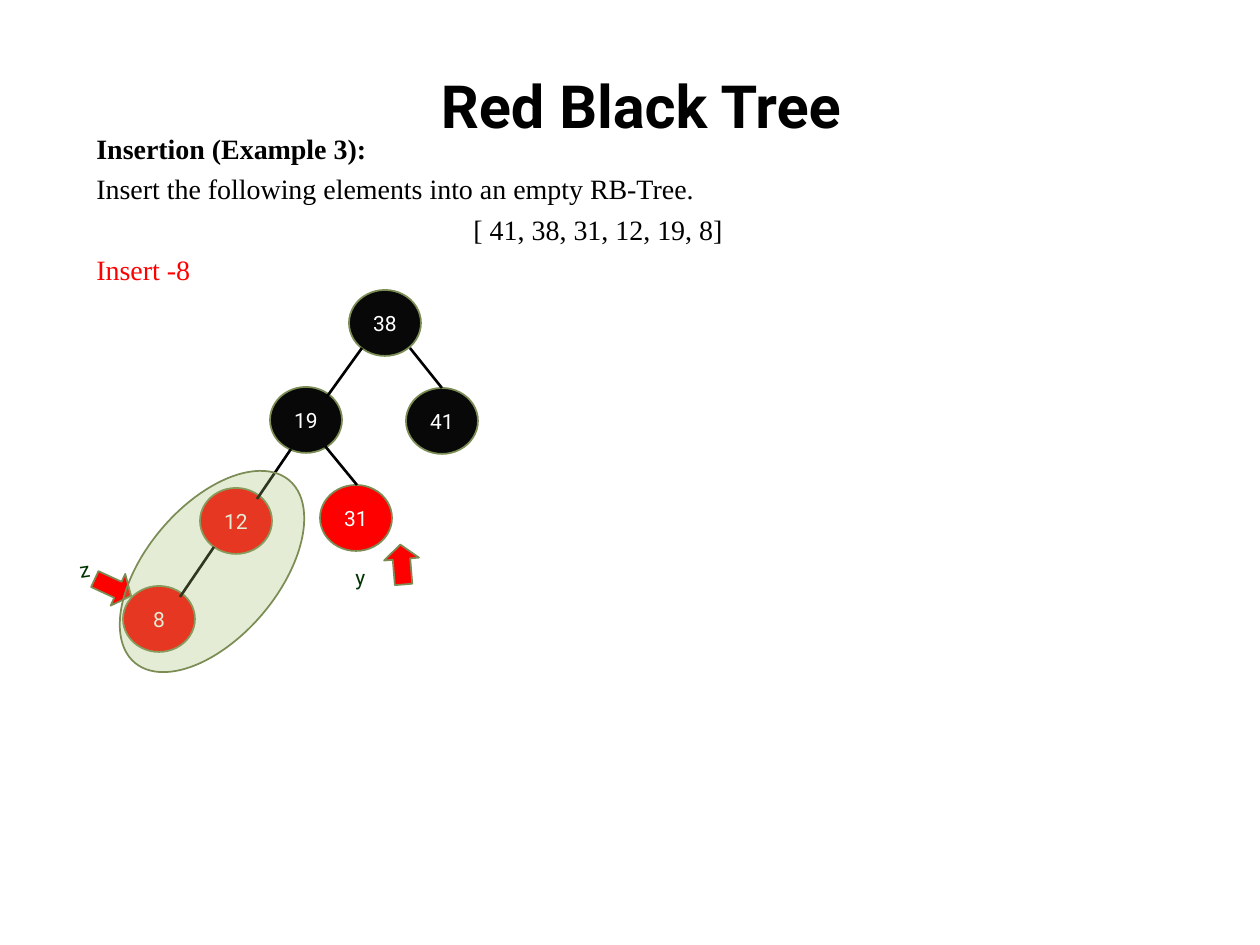
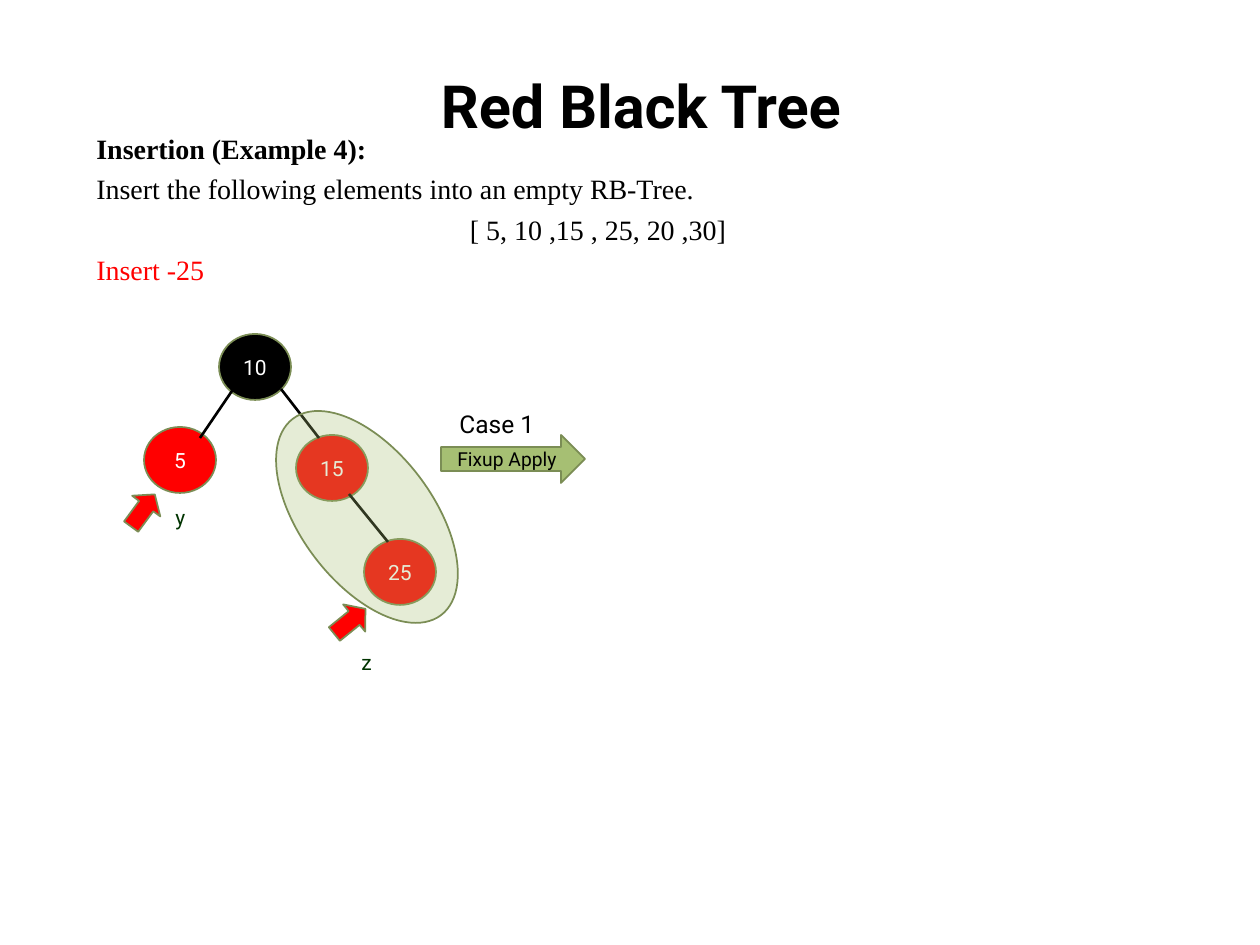
from lxml.etree import SubElement
from pptx import Presentation
from pptx.dml.color import RGBColor
from pptx.enum.shapes import MSO_CONNECTOR, MSO_SHAPE
from pptx.enum.text import MSO_ANCHOR as ANCHOR, PP_ALIGN as ALIGN
from pptx.oxml.ns import qn
from pptx.util import Pt

PX = 914400 // 126
BLACK = RGBColor(0x00, 0x00, 0x00)
SOFT_BLACK = RGBColor(0x08, 0x08, 0x08)
WHITE = RGBColor(0xFF, 0xFF, 0xFF)
RED = RGBColor(0xFF, 0x00, 0x00)
GREEN = RGBColor(0xA6, 0xBF, 0x73)
OLIVE = RGBColor(0x7B, 0x8D, 0x55)
DARK_GREEN = RGBColor(0x00, 0x33, 0x00)
NODE_SIZE = (72, 66)
POINTER_SIZE = (40, 35)
LABEL_SIZE = (34, 38)

EXAMPLES = [
    {
        "heading": "Insertion (Example 3):",
        "keys": "[ 41, 38, 31, 12, 19, 8]",
        "step": "Insert -8",
        "pointers": [("z", (67, 551), 351.4, (93, 570), 24.8),
                     ("y", (343, 558), 0, (382, 547), 265.3)],
        "nodes": [("38", 349, 290, SOFT_BLACK), ("19", 270, 387, SOFT_BLACK),
                  ("41", 406, 388, SOFT_BLACK), ("12", 200, 488, RED),
                  ("31", 320, 485, RED), ("8", 123, 586, RED)],
        "edges": [(362, 348, 326, 398), (410, 348, 442, 388), (291, 449, 257, 499),
                  (325, 446, 357, 485), (214, 547, 180, 597)],
        "conflict": ((146, 452, 132, 239), 40.3),
        "fixup": None,
    },
    {
        "heading": "Insertion (Example 4):",
        "keys": "[ 5, 10 ,15 , 25, 20 ,30]",
        "step": "Insert -25",
        "pointers": [("z", (349, 643), 0, (330, 604), 321),
                     ("y", (163, 498), 0, (123, 493), 306.3)],
        "nodes": [("10", 219, 334, BLACK), ("15", 296, 435, RED),
                  ("5", 144, 427, RED), ("25", 364, 539, RED)],
        "edges": [(281, 389, 319, 438), (234, 388, 200, 438), (349, 494, 388, 542)],
        "conflict": ((301, 394, 132, 246), 323),
        "fixup": ("Case 1", "Fixup Apply"),
    },
]


def add_text(slide, box, lines, size, font="Roboto", anchor=ANCHOR.TOP):
    frame_box = slide.shapes.add_textbox(*[v * PX for v in box])
    frame = frame_box.text_frame
    frame.word_wrap = True
    frame.vertical_anchor = anchor
    for index, (text, align, color, bold) in enumerate(lines):
        paragraph = frame.add_paragraph() if index else frame.paragraphs[0]
        paragraph.text = text
        paragraph.alignment = align
        if index:
            paragraph.space_before = Pt(4)
        for run in paragraph.runs:
            run.font.name, run.font.size = font, Pt(size)
            run.font.bold, run.font.color.rgb = bold, color
    return frame_box


def add_figure(slide, kind, box, fill, text="", size=12, color=WHITE):
    figure = slide.shapes.add_shape(kind, *[v * PX for v in box])
    figure.shadow.inherit = False
    figure.fill.solid()
    figure.fill.fore_color.rgb = fill
    figure.line.color.rgb = OLIVE
    figure.line.width = Pt(1)
    if text:
        frame = figure.text_frame
        frame.text = text
        frame.word_wrap = False
        frame.vertical_anchor = ANCHOR.MIDDLE
        paragraph = frame.paragraphs[0]
        paragraph.alignment = ALIGN.CENTER
        font = paragraph.runs[0].font
        font.name, font.size, font.color.rgb = "Roboto", Pt(size), color
    return figure


deck = Presentation()
deck.slide_width, deck.slide_height = 1260 * PX, 945 * PX

for example in EXAMPLES:
    slide = deck.slides.add_slide(deck.slide_layouts[6])
    add_text(slide, (74, 55, 1134, 100),
             [("Red Black Tree", ALIGN.CENTER, BLACK, True)], 34, anchor=ANCHOR.MIDDLE)
    add_text(slide, (84, 125, 1028, 169), [
        (example["heading"], ALIGN.JUSTIFY, BLACK, True),
        ("Insert the following elements into an empty RB-Tree.", ALIGN.JUSTIFY, BLACK, False),
        (example["keys"], ALIGN.CENTER, BLACK, False),
        (example["step"], ALIGN.LEFT, RED, False),
    ], 16, "Times New Roman")

    for name, label_at, label_turn, pointer_at, pointer_turn in example["pointers"]:
        label = add_text(slide, label_at + LABEL_SIZE,
                         [(name, ALIGN.LEFT, DARK_GREEN, False)], 12)
        label.rotation = label_turn
        pointer = add_figure(slide, MSO_SHAPE.RIGHT_ARROW, pointer_at + POINTER_SIZE, RED)
        pointer.adjustments[1] = 0.415
        pointer.rotation = pointer_turn

    for key, left, top, color in example["nodes"]:
        add_figure(slide, MSO_SHAPE.OVAL, (left, top) + NODE_SIZE, color, key)

    for ends in example["edges"]:
        edge = slide.shapes.add_connector(MSO_CONNECTOR.STRAIGHT, *[v * PX for v in ends])
        edge.line.color.rgb = BLACK
        edge.line.width = Pt(1.5)
        SubElement(edge._element.spPr, qn("a:effectLst"))

    conflict_box, conflict_turn = example["conflict"]
    conflict = add_figure(slide, MSO_SHAPE.OVAL, conflict_box, GREEN)
    conflict.rotation = conflict_turn
    tint = conflict._element.spPr.find(qn("a:solidFill")).find(qn("a:srgbClr"))
    SubElement(tint, qn("a:alpha"), val="29000")

    if example["fixup"]:
        case, action = example["fixup"]
        add_figure(slide, MSO_SHAPE.RIGHT_ARROW, (441, 435, 144, 48), GREEN, action, 11, BLACK)
        add_text(slide, (447, 403, 108, 43), [(case, ALIGN.LEFT, BLACK, False)], 14)

deck.save("out.pptx")
